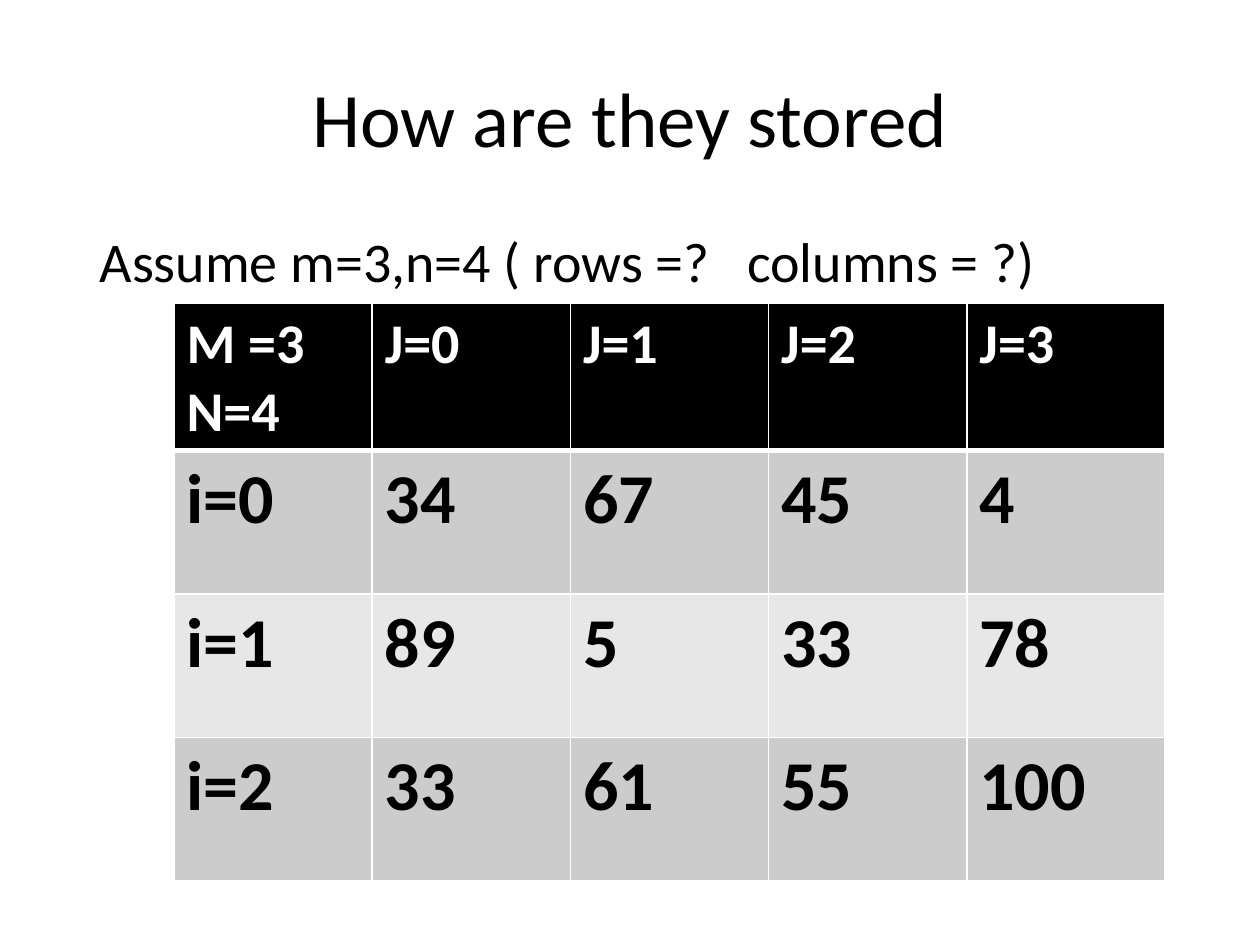
"""Builds a slide that shows how a two-dimensional array is stored."""
from dataclasses import dataclass

from lxml.etree import SubElement
from pptx import Presentation
from pptx.dml.color import RGBColor
from pptx.enum.text import MSO_ANCHOR as Anchor, PP_ALIGN as Align
from pptx.oxml.ns import qn
from pptx.util import Pt

FONT = "Calibri"
BLACK, WHITE = "000000", "FFFFFF"
COLUMN_WIDTH, ROW_HEIGHT = 113.3, 82


@dataclass
class ArrayRow:
    labels: tuple[str, ...]
    fill: str
    ink: str = BLACK
    size: float = 40
    bottom_border: float = 1


ARRAY_ROWS = (
    ArrayRow(("M =3 N=4", "J=0", "J=1", "J=2", "J=3"), BLACK, WHITE, 32, 3),
    ArrayRow(("i=0", "34", "67", "45", "4"), "CCCCCC"),
    ArrayRow(("i=1", "89", "5", "33", "78"), "E7E7E7"),
    ArrayRow(("i=2", "33", "61", "55", "100"), "CCCCCC"),
)


def paint(color_format, color: str) -> None:
    """Set a colour from a hex string."""
    color_format.rgb = RGBColor.from_string(color)


def add_run(paragraph, text: str, size: float, color: str = BLACK, bold: bool = False) -> None:
    """Append one formatted run."""
    run = paragraph.add_run()
    run.text = text
    run.font.name, run.font.size, run.font.bold = FONT, Pt(size), bold
    paint(run.font.color, color)


def add_border(cell, side: str, width: float) -> None:
    """Draw one white cell border."""
    properties = cell._tc.get_or_add_tcPr()
    border = SubElement(properties, qn(f"a:ln{side}"), w=str(Pt(width)))
    SubElement(SubElement(border, qn("a:solidFill")), qn("a:srgbClr"), val=WHITE)


def add_title(slide, text: str) -> None:
    """Place and fill the title placeholder."""
    title = slide.shapes.title
    title.left, title.top, title.width, title.height = Pt(36), Pt(21.6), Pt(648), Pt(90)
    title.text_frame.vertical_anchor = Anchor.MIDDLE
    heading = title.text_frame.paragraphs[0]
    heading.alignment = Align.CENTER
    add_run(heading, text, 44)


def add_assumption(slide, text: str, indent: float, tab_stop: float) -> None:
    """Write the assumption line with its second part at a tab stop."""
    frame = slide.shapes.add_textbox(Pt(36), Pt(126), Pt(573), Pt(59)).text_frame
    frame.word_wrap = True
    frame.margin_left = Pt(indent)
    assumption = frame.paragraphs[0]
    tabs = SubElement(assumption._p.get_or_add_pPr(), qn("a:tabLst"))
    SubElement(tabs, qn("a:tab"), pos=str(Pt(tab_stop)), algn="l")
    add_run(assumption, text, 32)


def add_array_table(slide, rows: tuple[ArrayRow, ...]) -> None:
    """Draw the array as a table with index labels."""
    column_count = len(rows[0].labels)
    table = slide.shapes.add_table(
        len(rows), column_count, Pt(99.4), Pt(173.5),
        Pt(COLUMN_WIDTH * column_count), Pt(ROW_HEIGHT * len(rows)),
    ).table
    for column in table.columns:
        column.width = Pt(COLUMN_WIDTH)
    top_border = 1
    for table_row, row in zip(table.rows, rows):
        table_row.height = Pt(ROW_HEIGHT)
        widths = {"L": 1, "R": 1, "T": top_border, "B": row.bottom_border}
        for cell, label in zip(table_row.cells, row.labels):
            for side, width in widths.items():
                add_border(cell, side, width)
            cell.fill.solid()
            paint(cell.fill.fore_color, row.fill)
            add_run(cell.text_frame.paragraphs[0], label, row.size, row.ink, True)
        top_border = row.bottom_border


def main() -> None:
    """Build and save the slide."""
    deck = Presentation()
    deck.slide_width, deck.slide_height = Pt(720), Pt(540)
    slide = deck.slides.add_slide(deck.slide_layouts[5])
    add_title(slide, "How are they stored")
    add_assumption(slide, "Assume m=3,n=4 ( rows =?\tcolumns = ?)", 21, 370)
    add_array_table(slide, ARRAY_ROWS)
    deck.save("out.pptx")


if __name__ == "__main__":
    main()
